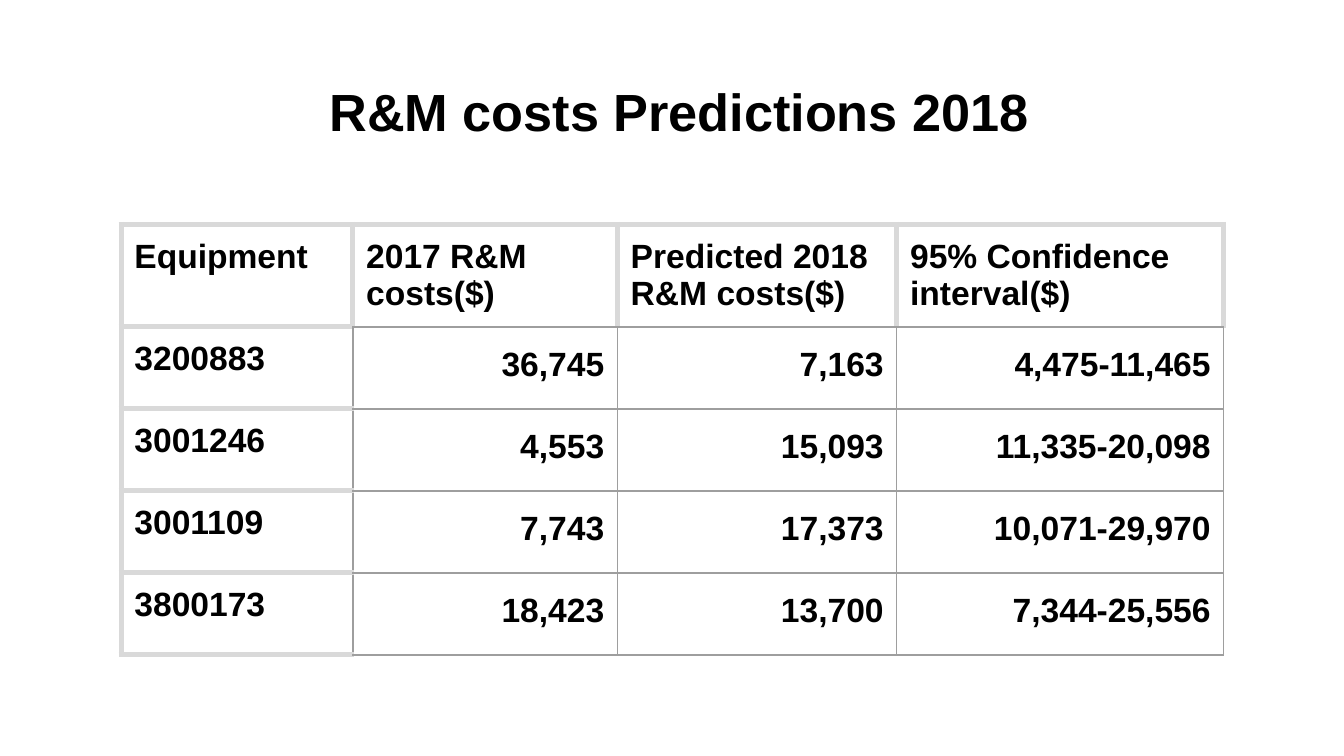
from dataclasses import dataclass

from lxml.etree import SubElement
from pptx import Presentation
from pptx.dml.color import RGBColor
from pptx.enum.text import MSO_ANCHOR, PP_ALIGN
from pptx.oxml.ns import qn
from pptx.util import Cm, Pt

COSTS = [
    ["Equipment", "2017 R&M costs($)", "Predicted 2018 R&M costs($)", "95% Confidence interval($)"],
    ["3200883", "36,745", "7,163", "4,475-11,465"],
    ["3001246", "4,553", "15,093", "11,335-20,098"],
    ["3001109", "7,743", "17,373", "10,071-29,970"],
    ["3800173", "18,423", "13,700", "7,344-25,556"],
]
COLUMN_WIDTHS = [4.38, 5, 5.28, 6.18]
HEADER_HEIGHT, ROW_HEIGHT = 1.94, 1.55


@dataclass(frozen=True)
class Theme:
    font: str = "Arial"
    ink: str = "000000"
    paper: str = "FFFFFF"
    title_size: int = 28
    table_size: int = 18
    inset: float = 0.25
    heavy_rule: tuple = ("D9D9D9", 3)
    thin_rule: tuple = ("9E9E9E", 0.75)


class SlideBuilder:
    def __init__(self, slide, theme):
        self.slide = slide
        self.theme = theme

    def add_text(self, frame, text, size, align, spacing=1.0):
        frame.word_wrap = True
        paragraph = frame.paragraphs[0]
        paragraph.alignment = align
        paragraph.line_spacing = spacing
        run = paragraph.add_run()
        run.text = text
        run.font.name = self.theme.font
        run.font.size = Pt(size)
        run.font.bold = True
        run.font.color.rgb = RGBColor.from_string(self.theme.ink)

    def pad(self, holder):
        """Set equal margins and top anchoring on a text frame or a table cell."""
        holder.margin_left = holder.margin_right = Cm(self.theme.inset)
        holder.margin_top = holder.margin_bottom = Cm(self.theme.inset)
        holder.vertical_anchor = MSO_ANCHOR.TOP

    def title(self, text, left, top, width, height):
        heading = self.slide.shapes.title
        heading.left, heading.top = Cm(left), Cm(top)
        heading.width, heading.height = Cm(width), Cm(height)
        self.add_text(heading.text_frame, text, self.theme.title_size, PP_ALIGN.CENTER)
        self.pad(heading.text_frame)

    def borders(self, cell, heavy_sides):
        """Rule all four sides; the letters in heavy_sides get the heavy rule."""
        properties = cell._tc.get_or_add_tcPr()
        for side in "LRTB":
            color, points = self.theme.heavy_rule if side in heavy_sides else self.theme.thin_rule
            line = SubElement(properties, qn(f"a:ln{side}"), w=str(Pt(points)))
            fill = SubElement(line, qn("a:solidFill"))
            SubElement(fill, qn("a:srgbClr"), val=color)

    def cell(self, cell, text, is_header, is_label):
        if is_header or is_label:
            align, spacing = PP_ALIGN.LEFT, 1.0
        else:
            align, spacing = PP_ALIGN.RIGHT, 1.15
        self.add_text(cell.text_frame, text, self.theme.table_size, align, spacing)
        self.pad(cell)
        self.borders(cell, ("LTR" if is_header else "") + ("LTB" if is_label else ""))
        cell.fill.solid()
        cell.fill.fore_color.rgb = RGBColor.from_string(self.theme.paper)

    def table(self, rows, left, top, widths, heights):
        table = self.slide.shapes.add_table(
            len(rows), len(widths), Cm(left), Cm(top), Cm(sum(widths)), Cm(sum(heights))
        ).table
        table.first_row = table.horz_banding = False
        for column, width in zip(table.columns, widths):
            column.width = Cm(width)
        for row, height in zip(table.rows, heights):
            row.height = Cm(height)
        for r, texts in enumerate(rows):
            for c, text in enumerate(texts):
                self.cell(table.cell(r, c), text, is_header=r == 0, is_label=c == 0)


def main():
    presentation = Presentation()
    presentation.slide_width, presentation.slide_height = Cm(25.4), Cm(14.29)
    title_only = presentation.slide_layouts[5]
    builder = SlideBuilder(presentation.slides.add_slide(title_only), Theme())
    builder.title(" R&M costs Predictions 2018", 0.86, 1.24, 23.67, 1.6)
    heights = [HEADER_HEIGHT] + [ROW_HEIGHT] * (len(COSTS) - 1)
    builder.table(COSTS, 2.29, 4.24, COLUMN_WIDTHS, heights)
    presentation.save("out.pptx")


if __name__ == "__main__":
    main()
